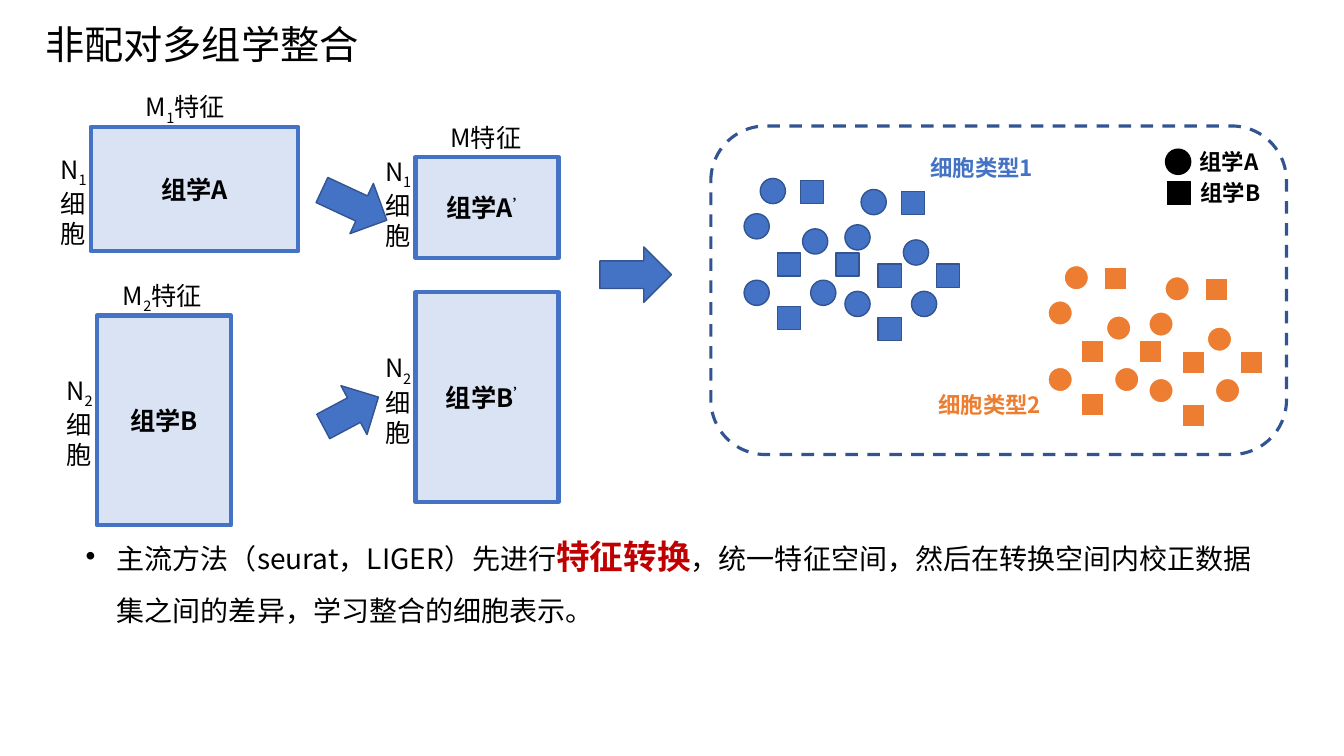
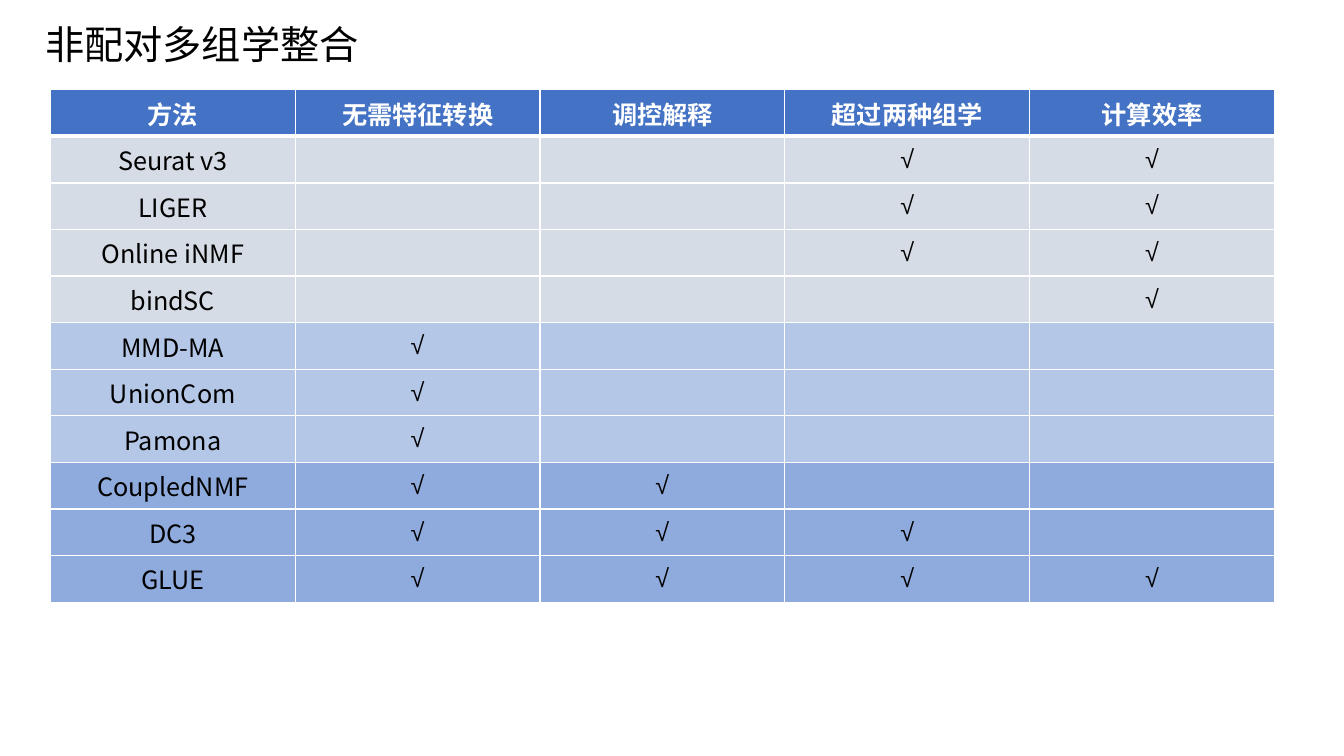
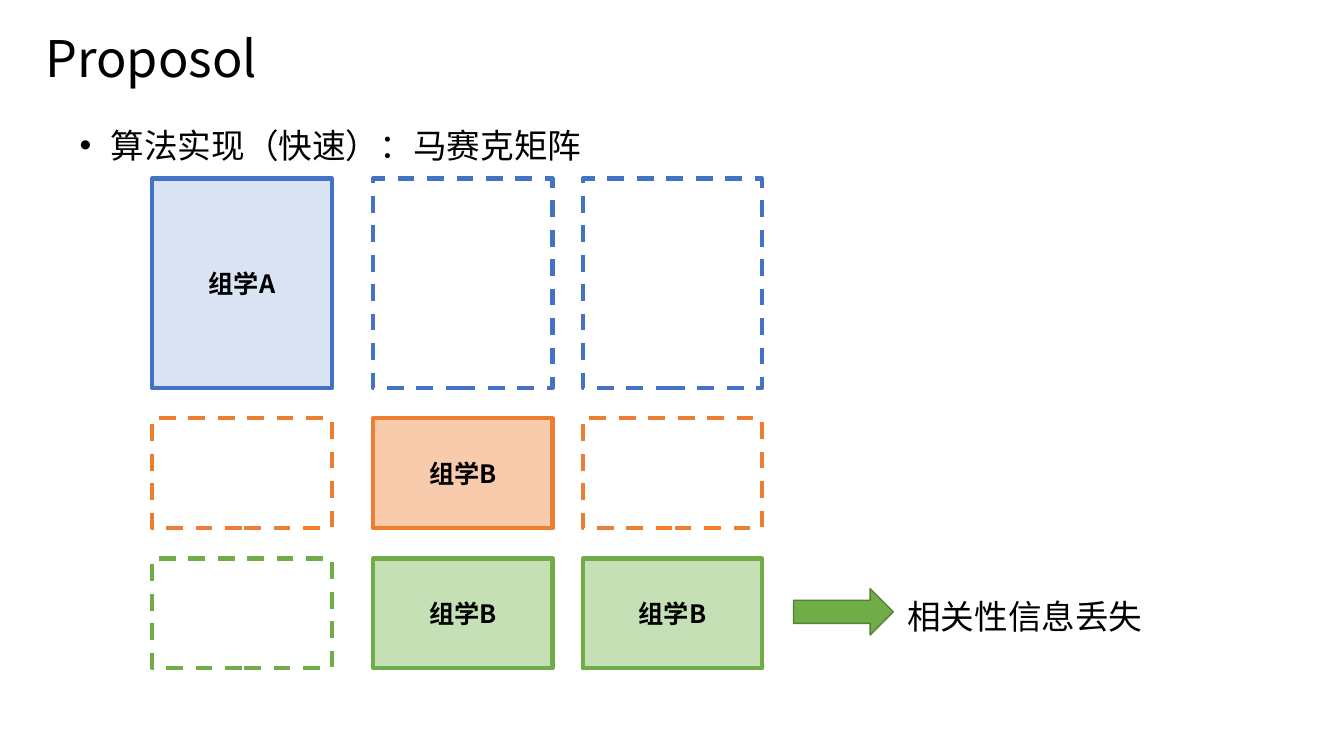
from pptx import Presentation
from pptx.dml.color import RGBColor
from pptx.enum.dml import MSO_LINE
from pptx.enum.shapes import MSO_SHAPE as Preset
from pptx.enum.text import MSO_ANCHOR as Anchor, MSO_AUTO_SIZE as AutoSize, PP_ALIGN as Align
from pptx.oxml.ns import qn
from pptx.util import Inches, Pt
from lxml.etree import SubElement

FONT = "Noto Sans CJK SC"
TICK_FONT = "Arial"
BLACK = RGBColor(0x00, 0x00, 0x00)
WHITE = RGBColor(0xFF, 0xFF, 0xFF)
BLUE = RGBColor(0x44, 0x72, 0xC4)
DARK_BLUE = RGBColor(0x32, 0x54, 0x91)
PALE_BLUE = RGBColor(0xDA, 0xE3, 0xF3)
ORANGE = RGBColor(0xED, 0x7D, 0x31)
PALE_ORANGE = RGBColor(0xF8, 0xCB, 0xAD)
GREEN = RGBColor(0x70, 0xAD, 0x47)
DARK_GREEN = RGBColor(0x53, 0x80, 0x35)
PALE_GREEN = RGBColor(0xC5, 0xE0, 0xB4)
RED = RGBColor(0xC0, 0x00, 0x00)
GREY_ROW = RGBColor(0xD6, 0xDC, 0xE5)
LIGHT_ROW = RGBColor(0xB4, 0xC7, 0xE7)
MID_ROW = RGBColor(0x8F, 0xAA, 0xDC)

INTEGRATION_TITLE = "非配对多组学整合"
LABEL_SIZE = 18
LEGEND_SIZE = 16
SUBSCRIPT = -25
SUPERSCRIPT = 30


# Shared text and shape helpers
def add_run(paragraph, text, size=LABEL_SIZE, color=BLACK, bold=False, baseline=0, font=FONT):
    run = paragraph.add_run()
    run.text = text
    run.font.name = font
    run.font.size = Pt(size)
    run.font.bold = bold
    run.font.color.rgb = color
    properties = run._r.get_or_add_rPr()
    SubElement(properties, qn("a:ea")).set("typeface", font)
    if baseline:
        properties.set("baseline", str(baseline * 1000))


def add_text(slide, left, top, width, height, line_spacing=None):
    """Add a wrapping text box and return its first paragraph."""
    box = slide.shapes.add_textbox(Inches(left), Inches(top), Inches(width), Inches(height))
    box.text_frame.word_wrap = True
    paragraph = box.text_frame.paragraphs[0]
    if line_spacing:
        paragraph.line_spacing = line_spacing
    return paragraph


def add_bullet(paragraph):
    properties = paragraph._p.get_or_add_pPr()
    properties.set("marL", str(Inches(0.31)))
    properties.set("indent", str(Inches(-0.31)))
    SubElement(properties, qn("a:buFont")).set("typeface", "Arial")
    SubElement(properties, qn("a:buChar")).set("char", "•")


def add_shape(slide, preset, left, top, width, height, fill, line, line_width=1, dashed=False):
    shape = slide.shapes.add_shape(preset, Inches(left), Inches(top), Inches(width), Inches(height))
    shape.shadow.inherit = False
    if fill is None:
        shape.fill.background()
    else:
        shape.fill.solid()
        shape.fill.fore_color.rgb = fill
    shape.line.color.rgb = line
    shape.line.width = Pt(line_width)
    if dashed:
        shape.line.dash_style = MSO_LINE.DASH
    return shape


def add_matrix(slide, left, top, width, height, fill, line, name="", prime=False):
    """Add a data matrix; one without a name is dashed."""
    matrix = add_shape(slide, Preset.RECTANGLE, left, top, width, height, fill, line, 3, not name)
    if name:
        matrix.text_frame.vertical_anchor = Anchor.MIDDLE
        paragraph = matrix.text_frame.paragraphs[0]
        paragraph.alignment = Align.CENTER
        add_run(paragraph, name, bold=True)
        if prime:
            add_run(paragraph, "’", bold=True, baseline=SUPERSCRIPT)


def add_titled_slide(presentation, text, size=28):
    slide = presentation.slides.add_slide(presentation.slide_layouts[5])
    title = slide.shapes.title
    title.left, title.top = Inches(0.35), Inches(-0.08)
    title.width, title.height = Inches(8.82), Inches(0.87)
    frame = title.text_frame
    frame.auto_size = AutoSize.NONE
    frame.vertical_anchor = Anchor.TOP
    paragraph = frame.paragraphs[0]
    paragraph.alignment = Align.LEFT
    paragraph.line_spacing = 1.5
    add_run(paragraph, text, size)
    return slide


# Integration diagram
def add_axis_label(slide, left, top, width, height, letter, index, noun):
    paragraph = add_text(slide, left, top, width, height)
    add_run(paragraph, letter)
    if index:
        add_run(paragraph, index, baseline=SUBSCRIPT)
    add_run(paragraph, noun)


def add_omics_panel(slide, left, top, width, height, name, cells, cells_drop,
                    features=None, features_shift=0, prime=False):
    """Place a matrix with its cell label at the left and feature label above."""
    add_matrix(slide, left, top, width, height, PALE_BLUE, BLUE, name, prime)
    add_axis_label(slide, left - 0.4, top + cells_drop, 0.48, 1.01, "N", cells, "细胞")
    if features is not None:
        add_axis_label(slide, left + features_shift, top - 0.4, 1.17, 0.4, "M", features, "特征")


def add_circle(slide, left, top, fill, line, line_width=1):
    add_shape(slide, Preset.OVAL, left, top, 0.25, 0.25, fill, line, line_width)


def add_square(slide, left, top, fill, line, line_width=1):
    add_shape(slide, Preset.RECTANGLE, left, top, 0.23, 0.23, fill, line, line_width)


def add_cell_cluster(slide, left, top, fill, line, line_width):
    """Place the same group of cells twice, the second one step to the right."""
    circles = [(0.16, 0), (0, 0.35), (0.58, 0.5), (0, 1.01), (0.66, 1.01)]
    squares = [(0.56, 0.02), (0.33, 0.74), (0.91, 0.74), (0.33, 1.27)]
    for step_x, step_y in [(0, 0), (1, 0.11)]:
        for draw, offsets in [(add_circle, circles), (add_square, squares)]:
            for x, y in offsets:
                draw(slide, left + step_x + x, top + step_y + y, fill, line, line_width)


def add_cell_space(slide, left, top, width, height):
    """Place the shared space: two cell types and a legend."""
    add_shape(slide, Preset.ROUNDED_RECTANGLE, left, top, width, height,
              None, DARK_BLUE, 2.25, dashed=True)
    add_cell_cluster(slide, left + 0.33, top + 0.52, BLUE, DARK_BLUE, 1)
    add_cell_cluster(slide, left + 3.34, top + 1.38, ORANGE, WHITE, 1.5)
    add_circle(slide, left + 4.51, top + 0.23, BLACK, BLACK)
    add_square(slide, left + 4.53, top + 0.55, BLACK, BLACK)
    labels = [
        ("细胞类型1", 2.08, 0.23, BLUE),
        ("细胞类型2", 2.16, 2.58, ORANGE),
        ("组学A", 4.75, 0.17, BLACK),
        ("组学B", 4.76, 0.48, BLACK),
    ]
    for text, x, y, color in labels:
        paragraph = add_text(slide, left + x, top + y, 1.5, 0.37)
        add_run(paragraph, text, LEGEND_SIZE, color, bold=True)


def build_diagram_slide(presentation):
    slide = add_titled_slide(presentation, INTEGRATION_TITLE)
    add_omics_panel(slide, 0.9, 1.26, 2.06, 1.23, "组学A", "1", 0.22, "1", 0.45)
    add_omics_panel(slide, 0.96, 3.13, 1.33, 2.08, "组学B", "2", 0.54, "2", 0.16)
    add_omics_panel(slide, 4.12, 1.56, 1.42, 1, "组学A", "1", -0.06, "", 0.25, prime=True)
    add_omics_panel(slide, 4.12, 2.9, 1.42, 2.08, "组学B", "2", 0.55, prime=True)
    for left, top, width, rotation in [(3.16, 1.76, 0.71, 25), (3.17, 3.81, 0.62, 332),
                                       (5.95, 2.45, 0.71, 0)]:
        arrow = add_shape(slide, Preset.RIGHT_ARROW, left, top, width, 0.55, BLUE, DARK_BLUE)
        arrow.rotation = rotation
    add_cell_space(slide, 7.05, 1.25, 5.71, 3.26)

    # Conclusion
    paragraph = add_text(slide, 0.75, 5.07, 11.78, 1.42, 1.5)
    add_bullet(paragraph)
    add_run(paragraph, "主流方法（seurat，LIGER）先进行", 20)
    add_run(paragraph, "特征转换", 24, RED, bold=True)
    add_run(paragraph, "，统一特征空间，然后在转换空间内校正数据集之间的差异，学习整合的细胞表示。", 20)


# Method comparison
def set_borders(cell, bottom_width):
    properties = cell._tc.get_or_add_tcPr()
    for side, width in [("L", 1), ("R", 1), ("T", 1), ("B", bottom_width)]:
        border = SubElement(properties, qn(f"a:ln{side}"), w=str(Pt(width)))
        fill = SubElement(border, qn("a:solidFill"))
        SubElement(fill, qn("a:srgbClr")).set("val", str(WHITE))


def fill_cell(cell, text, fill, color=BLACK, bold=False, bottom_width=1):
    set_borders(cell, bottom_width)
    cell.fill.solid()
    cell.fill.fore_color.rgb = fill
    cell.vertical_anchor = Anchor.MIDDLE
    if text:
        paragraph = cell.text_frame.paragraphs[0]
        paragraph.alignment = Align.CENTER
        font = TICK_FONT if text == "√" else FONT
        add_run(paragraph, text, color=color, bold=bold, font=font)


def add_method_table(slide, left, top, width, row_height):
    headers = ["方法", "无需特征转换", "调控解释", "超过两种组学", "计算效率"]
    # Each method lists the columns that hold a tick
    methods = [
        ("Seurat v3", GREY_ROW, {3, 4}),
        ("LIGER", GREY_ROW, {3, 4}),
        ("Online iNMF", GREY_ROW, {3, 4}),
        ("bindSC", GREY_ROW, {4}),
        ("MMD-MA", LIGHT_ROW, {1}),
        ("UnionCom", LIGHT_ROW, {1}),
        ("Pamona", LIGHT_ROW, {1}),
        ("CoupledNMF", MID_ROW, {1, 2}),
        ("DC3", MID_ROW, {1, 2, 3}),
        ("GLUE", MID_ROW, {1, 2, 3, 4}),
    ]
    row_count = len(methods) + 1
    table = slide.shapes.add_table(row_count, len(headers), Inches(left), Inches(top),
                                   Inches(width), Inches(row_height * row_count)).table
    table.horz_banding = False
    for column, header in enumerate(headers):
        fill_cell(table.cell(0, column), header, BLUE, WHITE, bold=True, bottom_width=3)
    for row, (method, fill, ticks) in enumerate(methods, start=1):
        fill_cell(table.cell(row, 0), method, fill)
        for column in range(1, len(headers)):
            fill_cell(table.cell(row, column), "√" if column in ticks else "", fill)


def build_table_slide(presentation):
    slide = add_titled_slide(presentation, INTEGRATION_TITLE)
    add_method_table(slide, 0.5, 0.89, 12.14, 0.4)


# Mosaic matrix
def add_mosaic(slide, left, top):
    """Place a grid of blocks; unnamed blocks are missing data."""
    column_offsets = [0, 2.19, 4.27]
    gap = 0.3
    rows = [
        (2.08, PALE_BLUE, BLUE, ["组学A", "", ""]),
        (1.09, PALE_ORANGE, ORANGE, ["", "组学B", ""]),
        (1.09, PALE_GREEN, GREEN, ["", "组学B", "组学B"]),
    ]
    for height, fill, line, names in rows:
        for offset, name in zip(column_offsets, names):
            add_matrix(slide, left + offset, top, 1.78, height, fill if name else WHITE, line, name)
        top += height + gap


def build_proposal_slide(presentation):
    slide = add_titled_slide(presentation, "Proposol", 36)
    paragraph = add_text(slide, 0.69, 0.99, 8.82, 0.69, 1.5)
    add_bullet(paragraph)
    add_run(paragraph, "算法实现（快速）：马赛克矩阵", 24)
    add_mosaic(slide, 1.51, 1.77)
    add_shape(slide, Preset.RIGHT_ARROW, 7.87, 5.84, 0.99, 0.46, GREEN, DARK_GREEN)
    add_run(add_text(slide, 8.9, 5.66, 2.92, 0.69, 1.5), "相关性信息丢失", 24)


def main():
    presentation = Presentation()
    presentation.slide_width = Inches(13.33)
    presentation.slide_height = Inches(7.5)
    build_diagram_slide(presentation)
    build_table_slide(presentation)
    build_proposal_slide(presentation)
    presentation.save("out.pptx")


if __name__ == "__main__":
    main()
